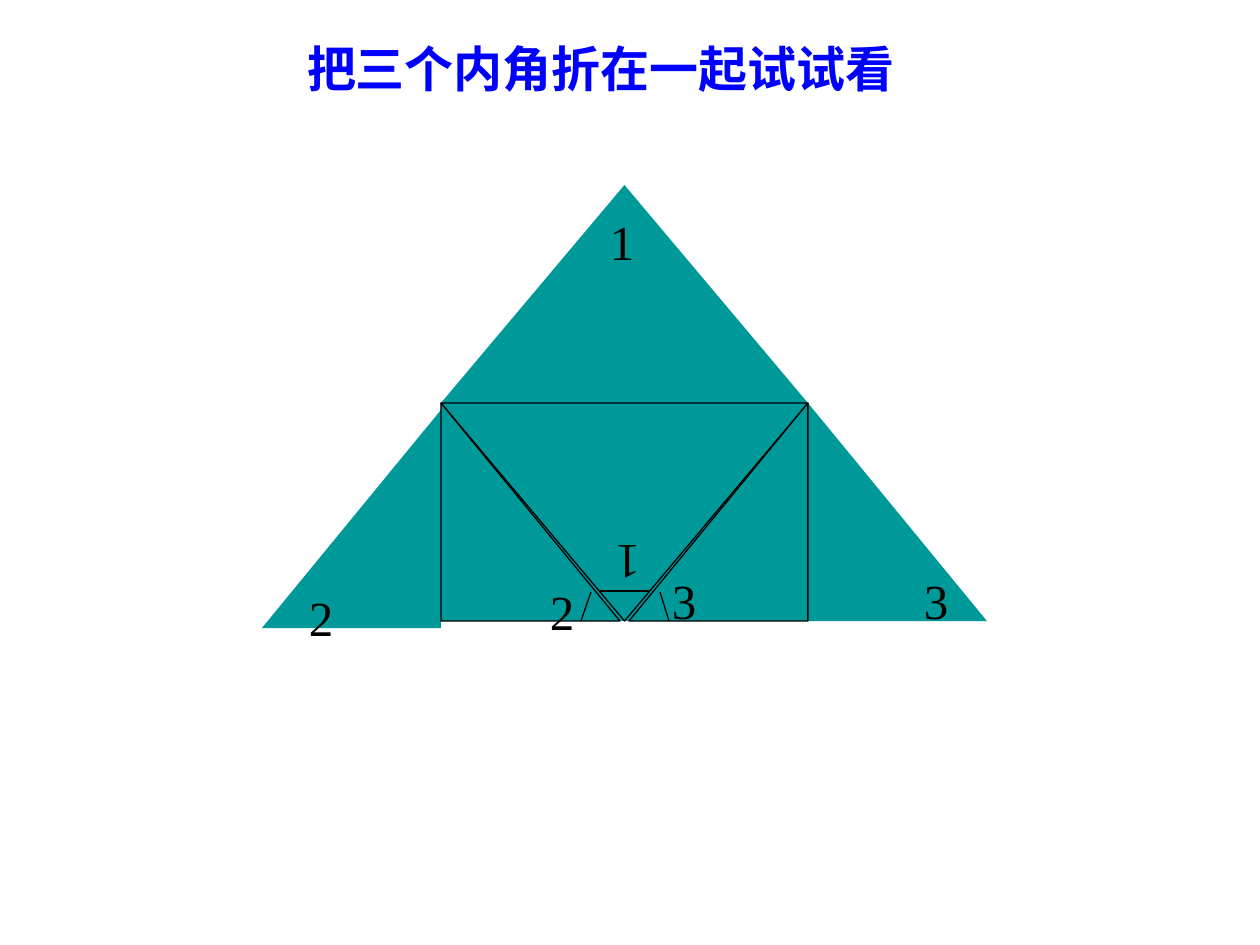
from pptx import Presentation
from pptx.dml.color import RGBColor
from pptx.enum.shapes import MSO_CONNECTOR, MSO_SHAPE
from pptx.enum.text import MSO_ANCHOR, MSO_AUTO_SIZE, PP_ALIGN
from pptx.oxml.ns import qn
from pptx.util import Emu, Pt
from lxml.etree import SubElement

TEAL, BLACK, BLUE = "009999", "000000", "0000FF"
SCALE = 914400 / 126


def px(length):
    return Emu(round(length * SCALE))


def color(value):
    return RGBColor.from_string(value)


def assign(target, values):
    for name, value in values.items():
        setattr(target, name, value)


class FoldingSlide:
    font = {"name": "Times New Roman", "size": Pt(28)}
    frame = {"vertical_anchor": MSO_ANCHOR.TOP, "auto_size": MSO_AUTO_SIZE.NONE,
             "margin_left": px(13), "margin_right": px(13),
             "margin_top": px(6), "margin_bottom": px(6)}

    def __init__(self, presentation):
        self.slide = presentation.slides.add_slide(presentation.slide_layouts[5])
        self.shapes = self.slide.shapes

    def group(self):
        self.shapes = self.slide.shapes.add_group_shape().shapes

    def set_text(self, box, text, ink, wrap, bold):
        assign(box.text_frame, self.frame | {"word_wrap": wrap})
        paragraph = box.text_frame.paragraphs[0]
        paragraph.alignment = PP_ALIGN.LEFT
        run = paragraph.add_run()
        run.text = text
        assign(run.font, self.font | {"bold": bold})
        run.font.color.rgb = color(ink)

    def title(self, text, left, top, width, height):
        heading = self.slide.shapes.title
        assign(heading, {"left": px(left), "top": px(top),
                         "width": px(width), "height": px(height)})
        self.set_text(heading, text, BLUE, True, True)

    def paper(self, kind, left, top, width, height, outlined=False, flipped=False, turn=0):
        piece = self.shapes.add_shape(kind, px(left), px(top), px(width), px(height))
        piece.shadow.inherit = False
        piece.rotation = turn
        piece.fill.solid()
        piece.fill.fore_color.rgb = color(TEAL)
        if outlined:
            self.stroke(piece.line)
        else:
            piece.line.fill.background()
        if flipped:
            piece._element.spPr.find(qn("a:xfrm")).set("flipH", "1")

    def stroke(self, line):
        line.width = Pt(0.75)
        line.color.rgb = color(BLACK)

    def angle_mark(self, *ends):
        mark = self.shapes.add_connector(MSO_CONNECTOR.STRAIGHT, *map(px, ends))
        self.stroke(mark.line)
        SubElement(mark._element.spPr, qn("a:effectLst"))

    def label(self, text, left, top, turn=0):
        box = self.shapes.add_textbox(px(left), px(top), px(49), px(72))
        box.rotation = turn
        self.set_text(box, text, BLACK, False, False)


def main():
    presentation = Presentation()
    assign(presentation, {"slide_width": px(1260), "slide_height": px(945)})
    page = FoldingSlide(presentation)
    page.title("把三个内角折在一起试试看", 294, 32, 714, 72)

    left, fold, base, height, half = 441, 403, 367, 218, 179
    right = left + base
    page.paper(MSO_SHAPE.RECTANGLE, left, fold, base, height)

    apex, corner = MSO_SHAPE.ISOSCELES_TRIANGLE, MSO_SHAPE.RIGHT_TRIANGLE
    flat = {}
    folded = {"outlined": True}
    mirrored = {"flipped": True}
    angles = [
        ("1", apex, left, fold - height, base, flat, (597, 205), None),
        ("1", apex, left, fold, base, folded | {"turn": 180}, (604, 529), (650, 591, 600, 591)),
        ("2", corner, left - half, fold + 7, half, mirrored, (296, 581), None),
        ("2", corner, left, fold, half, folded, (537, 575), (591, 592, 581, 621)),
        ("3", corner, right, fold, half, flat, (911, 564), None),
        ("3", corner, right - half, fold, half, folded | mirrored, (659, 564), (660, 592, 669, 621)),
    ]
    for number, kind, x, y, width, look, place, mark in angles:
        page.group()
        page.paper(kind, x, y, width, height, **look)
        if mark:
            page.angle_mark(*mark)
        page.label(number, *place, turn=look.get("turn", 0))

    presentation.save("out.pptx")


if __name__ == "__main__":
    main()
